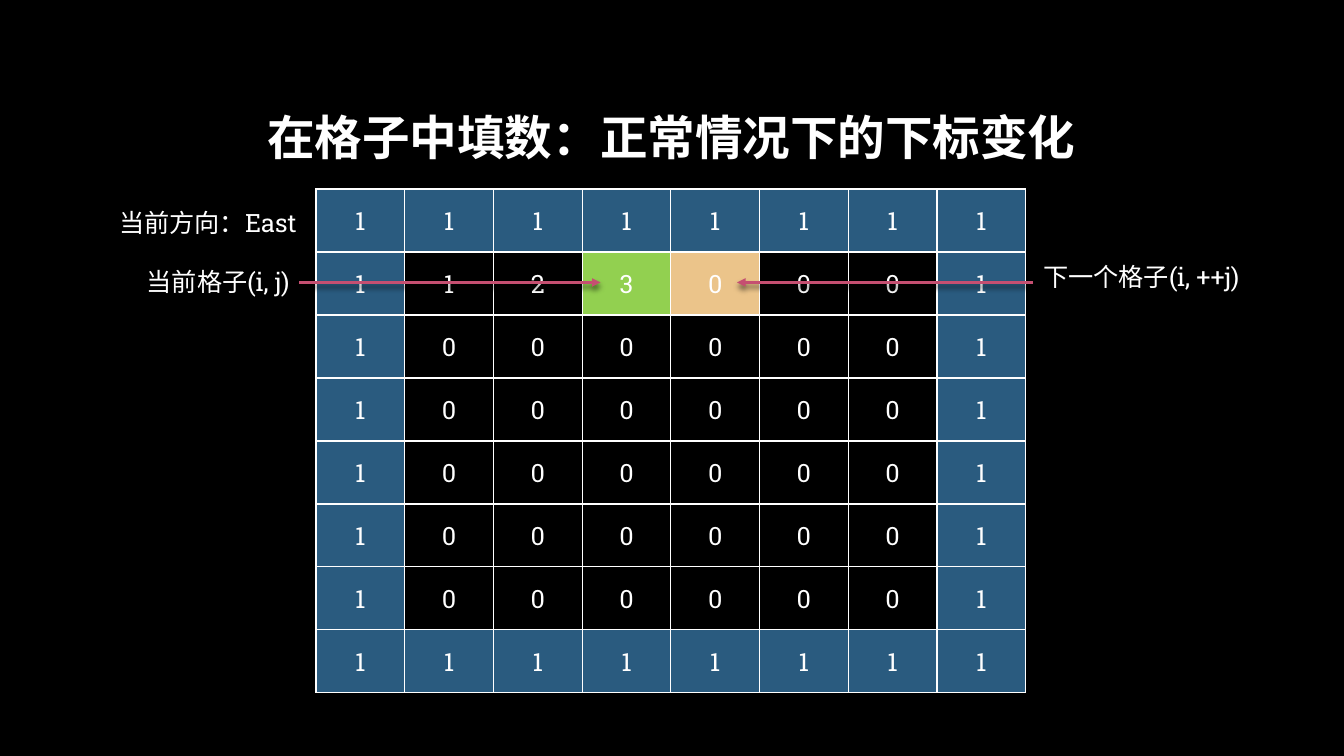
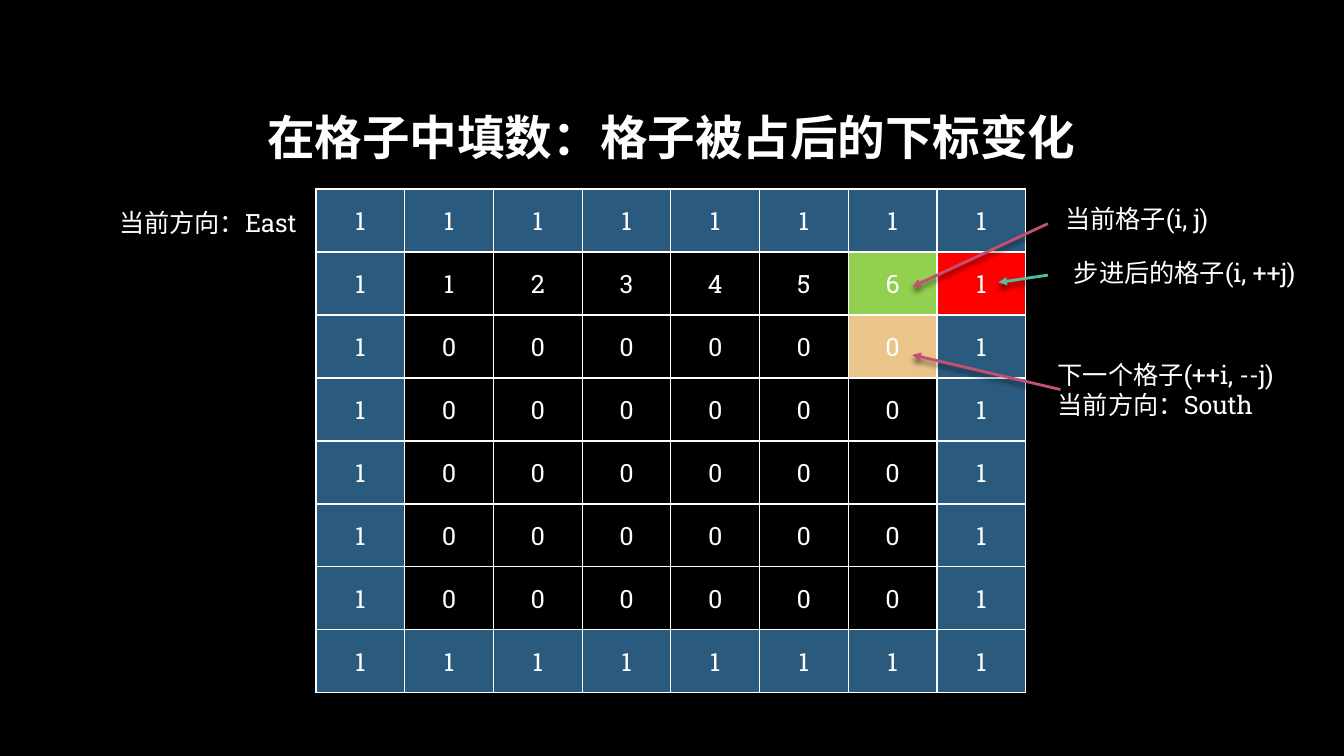
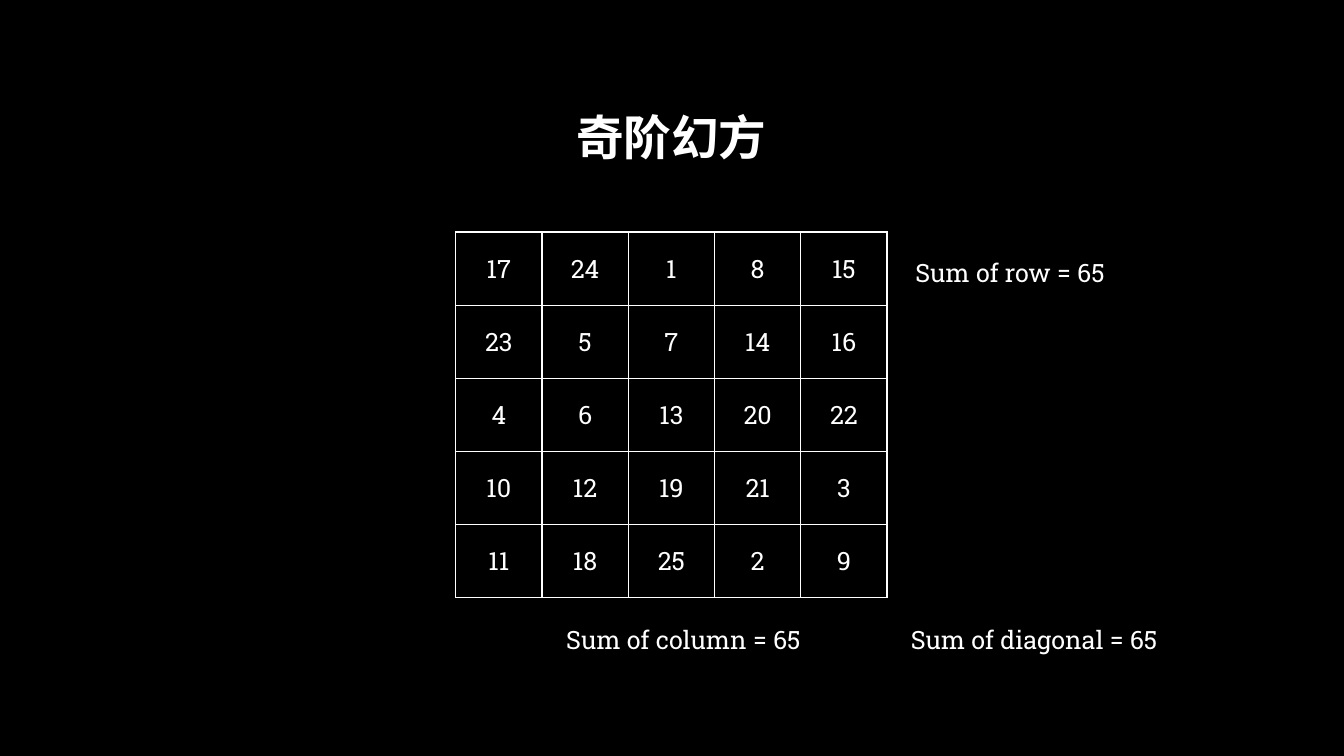
from dataclasses import dataclass

import pptx
import pptx.dml.color
import pptx.enum.shapes
import pptx.enum.text
import pptx.oxml
import pptx.oxml.ns
import pptx.slide
import pptx.table
import pptx.text.text
import pptx.util

EMU_PER_PX = 9525
FONT = "Roboto Slab"
BLACK, WHITE = "000000", "FFFFFF"
WALL, CURRENT, NEXT, BLOCKED = "2A5B7F", "92D050", "EBC48A", "FF0000"
PINK, TEAL = "C54F71", "50BEA3"
BODY_SIZE, TITLE_SIZE = 18, 34
BOARD_SIZE = 8

ALIGN = pptx.enum.text.PP_ALIGN
MIDDLE = pptx.enum.text.MSO_ANCHOR.MIDDLE

Marks = dict[tuple[int, int], str]


@dataclass(frozen=True)
class Area:
    left: int
    top: int
    width: int
    height: int


@dataclass(frozen=True)
class Label:
    lines: tuple[str, ...]
    area: Area
    align: ALIGN


@dataclass(frozen=True)
class Arrow:
    start: tuple[int, int]
    end: tuple[int, int]
    color: str = PINK


@dataclass(frozen=True)
class Page:
    title: str
    numbers: list[list[int]]
    grid_area: Area
    marks: Marks
    labels: tuple[Label, ...]
    arrows: tuple[Arrow, ...] = ()


TITLE_AREA = Area(96, 64, 1087, 139)
BOARD_AREA = Area(301, 180, 676, 480)
SQUARE_AREA = Area(434, 221, 411, 348)
EAST = Label(("当前方向：East",), Area(58, 174, 234, 76), ALIGN.RIGHT)
MAGIC_SQUARE = [
    [17, 24, 1, 8, 15],
    [23, 5, 7, 14, 16],
    [4, 6, 13, 20, 22],
    [10, 12, 19, 21, 3],
    [11, 18, 25, 2, 9],
]


def px(length: float) -> pptx.util.Emu:
    return pptx.util.Emu(round(length * EMU_PER_PX))


def rgb(color: str) -> pptx.dml.color.RGBColor:
    return pptx.dml.color.RGBColor.from_string(color)


def place(area: Area) -> tuple[pptx.util.Emu, ...]:
    return px(area.left), px(area.top), px(area.width), px(area.height)


def walled_board(filled: int) -> list[list[int]]:
    """Zeros inside a wall of ones, with 1..filled in the first inner row."""
    inner = BOARD_SIZE - 2
    wall = [1] * BOARD_SIZE
    first = [*range(1, filled + 1), *[0] * (inner - filled)]
    rows = [first] + [[0] * inner for _ in range(inner - 1)]
    return [wall, *([1, *row, 1] for row in rows), wall]


def wall_marks() -> Marks:
    edges = (0, BOARD_SIZE - 1)
    return {
        (row, column): WALL
        for row in range(BOARD_SIZE)
        for column in range(BOARD_SIZE)
        if row in edges or column in edges
    }


def write(para: pptx.text.text._Paragraph, text: str, align: ALIGN,
          size: int = BODY_SIZE, bold: bool = False) -> None:
    para.alignment = align
    span = para.add_run()
    span.text = text
    span.font.name = FONT
    span.font.size = pptx.util.Pt(size)
    span.font.bold = bold
    span.font.color.rgb = rgb(WHITE)


def add_text_frame(page: pptx.slide.Slide, area: Area) -> pptx.text.text.TextFrame:
    frame = page.shapes.add_textbox(*place(area)).text_frame
    frame.word_wrap = True
    frame.vertical_anchor = MIDDLE
    return frame


def add_title(page: pptx.slide.Slide, title: str) -> None:
    para = add_text_frame(page, TITLE_AREA).paragraphs[0]
    para.line_spacing = 0.9
    write(para, title, ALIGN.CENTER, TITLE_SIZE, bold=True)


def add_label(page: pptx.slide.Slide, label: Label) -> None:
    frame = add_text_frame(page, label.area)
    for index, line in enumerate(label.lines):
        para = frame.add_paragraph() if index else frame.paragraphs[0]
        write(para, line, label.align)


def add_borders(cell: pptx.table._Cell) -> None:
    properties = cell._tc.get_or_add_tcPr()
    for side in "LRTB":
        properties.append(pptx.oxml.parse_xml(
            f'<a:ln{side} {pptx.oxml.ns.nsdecls("a")} w="{pptx.util.Pt(1)}">'
            f'<a:solidFill><a:srgbClr val="{WHITE}"/></a:solidFill></a:ln{side}>'
        ))


def add_grid(page: pptx.slide.Slide, numbers: list[list[int]], area: Area,
             marks: Marks) -> None:
    rows, columns = len(numbers), len(numbers[0])
    table = page.shapes.add_table(rows, columns, *place(area)).table
    table.first_row = table.horz_banding = False
    for column in table.columns:
        column.width = px(area.width / columns)
    for row in table.rows:
        row.height = px(area.height / rows)
    for row_index, row_numbers in enumerate(numbers):
        for column_index, number in enumerate(row_numbers):
            cell = table.cell(row_index, column_index)
            cell.vertical_anchor = MIDDLE
            write(cell.text_frame.paragraphs[0], str(number), ALIGN.CENTER)
            add_borders(cell)
            color = marks.get((row_index, column_index))
            if color:
                cell.fill.solid()
                cell.fill.fore_color.rgb = rgb(color)
            else:
                cell.fill.background()


def add_arrow(page: pptx.slide.Slide, arrow: Arrow) -> None:
    connector = page.shapes.add_connector(
        pptx.enum.shapes.MSO_CONNECTOR.STRAIGHT,
        *map(px, arrow.start), *map(px, arrow.end),
    )
    connector.line.color.rgb = rgb(arrow.color)
    connector.line.width = pptx.util.Pt(2)
    namespace = pptx.oxml.ns.nsdecls("a")
    connector.line._get_or_add_ln().append(
        pptx.oxml.parse_xml(f'<a:tailEnd {namespace} type="triangle"/>')
    )
    connector._element.spPr.append(pptx.oxml.parse_xml(
        f'<a:effectLst {namespace}><a:outerShdw blurRad="{pptx.util.Pt(4)}" '
        f'dist="{pptx.util.Pt(3)}" dir="5400000" rotWithShape="0">'
        f'<a:srgbClr val="{BLACK}"><a:alpha val="54000"/></a:srgbClr>'
        f'</a:outerShdw></a:effectLst>'
    ))


PAGES = (
    Page(
        "在格子中填数：正常情况下的下标变化",
        walled_board(3),
        BOARD_AREA,
        wall_marks() | {(1, 3): CURRENT, (1, 4): NEXT},
        (
            EAST,
            Label(("当前格子(i, j)",), Area(51, 230, 234, 76), ALIGN.RIGHT),
            Label(("下一个格子(i, ++j)",), Area(984, 225, 241, 76), ALIGN.LEFT),
        ),
        (Arrow((285, 269), (572, 269)), Arrow((984, 269), (702, 269))),
    ),
    Page(
        "在格子中填数：格子被占后的下标变化",
        walled_board(6),
        BOARD_AREA,
        wall_marks() | {(1, 6): CURRENT, (1, 7): BLOCKED, (2, 6): NEXT},
        (
            EAST,
            Label(("当前格子(i, j)",), Area(926, 170, 234, 76), ALIGN.RIGHT),
            Label(("步进后的格子(i, ++j)",), Area(969, 221, 274, 76), ALIGN.RIGHT),
            Label(("下一个格子(++i, --j)", "当前方向：South"),
                  Area(998, 333, 241, 76), ALIGN.LEFT),
        ),
        (
            Arrow((998, 213), (869, 273)),
            Arrow((1010, 371), (869, 338)),
            Arrow((998, 262), (951, 269), TEAL),
        ),
    ),
    Page(
        "奇阶幻方",
        MAGIC_SQUARE,
        SQUARE_AREA,
        {},
        (
            Label(("Sum of row = 65",), Area(845, 221, 234, 76), ALIGN.CENTER),
            Label(("Sum of column = 65",), Area(516, 571, 270, 76), ALIGN.CENTER),
            Label(("Sum of diagonal = 65",), Area(845, 571, 280, 76), ALIGN.CENTER),
        ),
    ),
)


def main() -> None:
    deck = pptx.Presentation()
    deck.slide_width, deck.slide_height = px(1280), px(720)
    background = deck.slide_master.background.fill
    background.solid()
    background.fore_color.rgb = rgb(BLACK)
    blank = deck.slide_layouts[6]
    for content in PAGES:
        page = deck.slides.add_slide(blank)
        add_title(page, content.title)
        add_grid(page, content.numbers, content.grid_area, content.marks)
        for label in content.labels:
            add_label(page, label)
        for arrow in content.arrows:
            add_arrow(page, arrow)
    deck.save("out.pptx")


if __name__ == "__main__":
    main()
